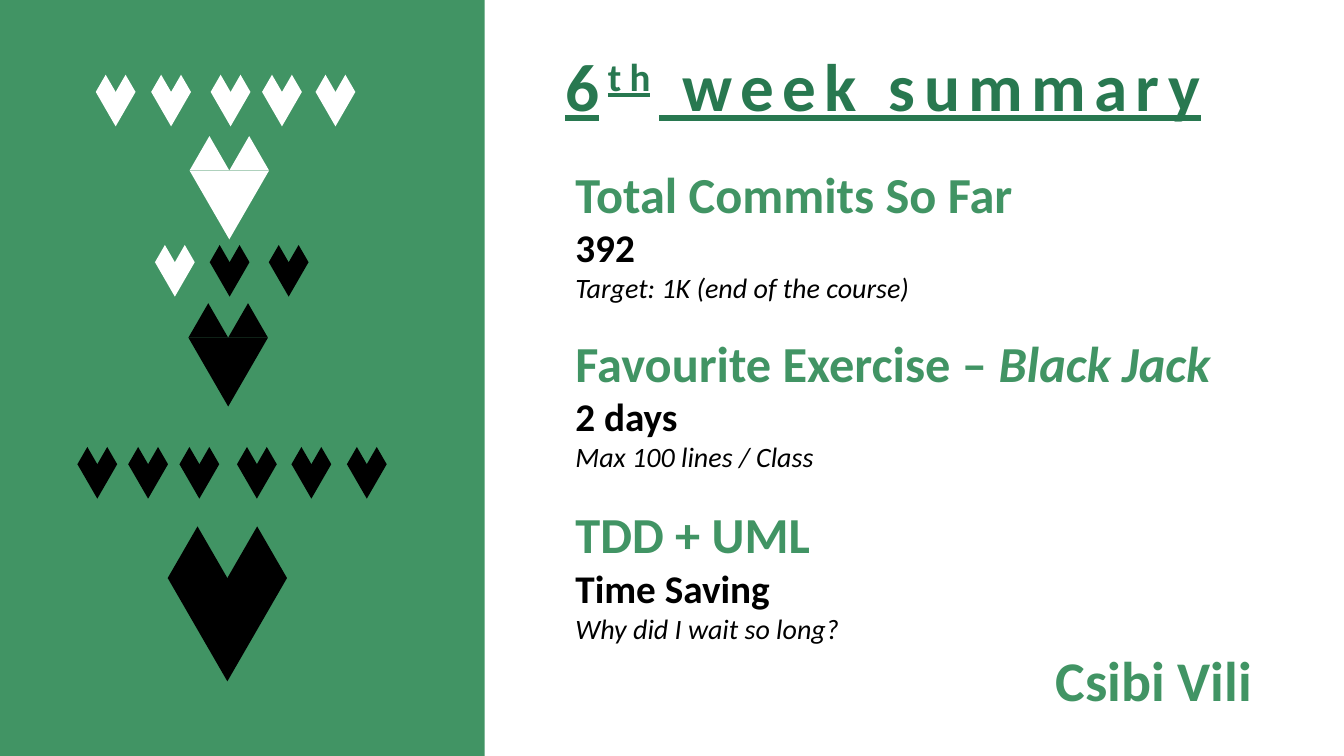
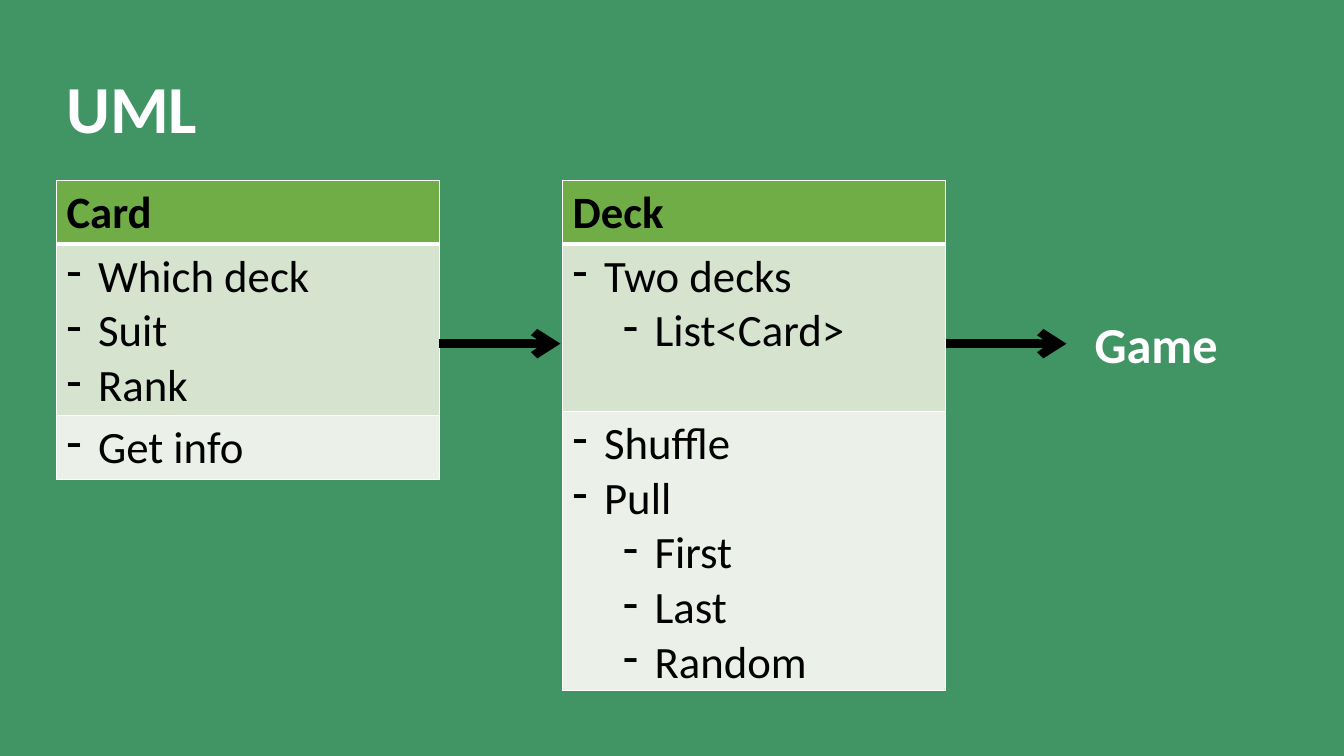
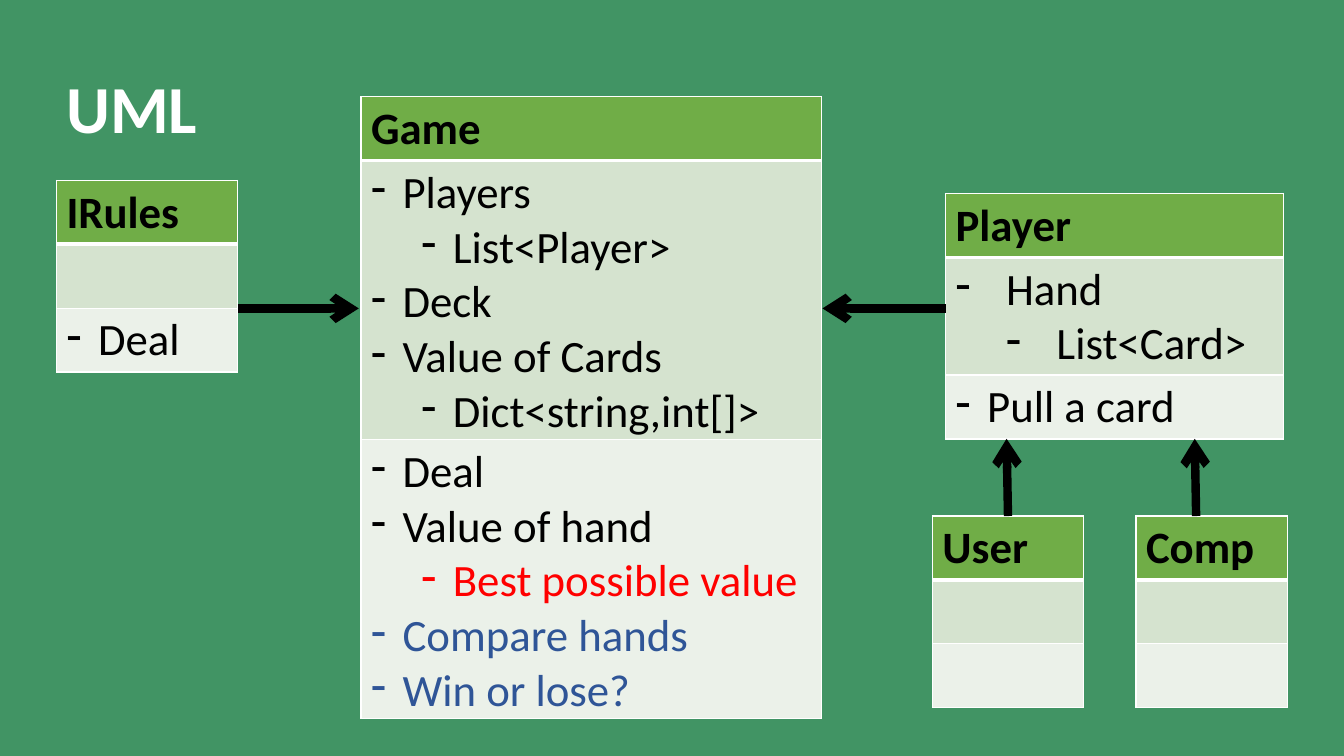
"""Builds a weekly summary slide and two UML class diagrams."""
from lxml.etree import SubElement
from pptx import Presentation
from pptx.dml.color import RGBColor
from pptx.enum.shapes import MSO_CONNECTOR as Conn, MSO_SHAPE as Shape
from pptx.enum.text import MSO_AUTO_SIZE as AutoSize, PP_ALIGN as Align
from pptx.oxml.ns import qn
from pptx.util import Pt

FONT = "Calibri"
GREEN = RGBColor(0x41, 0x94, 0x64)
DARK_GREEN = RGBColor(0x28, 0x78, 0x50)
HEADER = RGBColor(0x70, 0xAD, 0x47)
FIELDS = RGBColor(0xD5, 0xE3, 0xCF)
METHODS = RGBColor(0xEB, 0xF1, 0xE9)
WHITE = RGBColor(0xFF, 0xFF, 0xFF)
BLACK = RGBColor(0, 0, 0)
RED = RGBColor(0xFF, 0, 0)
BLUE = RGBColor(0x2F, 0x55, 0x97)

LINE_HEIGHT, CELL_MARGINS = 38.4, 7.2
LEVEL_INDENT = 36
SMALL, MEDIUM, LARGE = 28.4, 56.8, 85.2


def write(p, text, size=32, color=BLACK, bold=False, italic=False,
          underline=False, spacing=None, baseline=None):
    r = p.add_run()
    r.text = text
    font = r.font
    font.name, font.size, font.bold, font.italic = FONT, Pt(size), bold, italic
    font.underline = underline
    font.color.rgb = color
    props = r._r.get_or_add_rPr()
    if spacing:
        props.set("spc", str(spacing * 100))
    if baseline:
        props.set("baseline", str(baseline * 1000))


def text_box(s, left, top, width, height):
    tf = s.shapes.add_textbox(Pt(left), Pt(top), Pt(width), Pt(height)).text_frame
    tf.word_wrap = True
    tf.auto_size = AutoSize.SHAPE_TO_FIT_TEXT
    return tf


def filled_shape(shapes, kind, left, top, width, height, color):
    sp = shapes.add_shape(kind, Pt(left), Pt(top), Pt(width), Pt(height))
    sp.shadow.inherit = False
    sp.fill.solid()
    sp.fill.fore_color.rgb = color
    sp.line.fill.background()
    return sp


def heart(s, left, top, width, color):
    shapes = s.shapes.add_group_shape().shapes
    half, lobe = width / 2, width * 0.433
    tip = filled_shape(shapes, Shape.ISOSCELES_TRIANGLE, left, top + lobe,
                       width, 2 * lobe, color)
    tip.rotation = 180
    for x in (left, left + half):
        filled_shape(shapes, Shape.ISOSCELES_TRIANGLE, x, top, half, lobe, color)


def arrow(s, x1, y1, x2, y2):
    line = s.shapes.add_connector(Conn.STRAIGHT, Pt(x1), Pt(y1), Pt(x2), Pt(y2))
    line.line.color.rgb = BLACK
    line.line.width = Pt(6)
    SubElement(line.line._get_or_add_ln(), qn("a:tailEnd"), type="arrow")
    SubElement(line._element.spPr, qn("a:effectLst"))


def border(cell, top, bottom):
    props = cell._tc.get_or_add_tcPr()
    sides = (("L", 1), ("R", 1), ("T", top), ("B", bottom))
    for i, (side, width) in enumerate(sides):
        ln = SubElement(props, qn("a:ln" + side), w=str(Pt(width)))
        fill = SubElement(ln, qn("a:solidFill"))
        SubElement(fill, qn("a:srgbClr"), val=str(WHITE))
        props.insert(i, ln)


def dash(p, level, indent):
    p.level = level
    props = p._p.get_or_add_pPr()
    props.set("marL", str(Pt(level * LEVEL_INDENT + indent)))
    props.set("indent", str(-Pt(indent)))
    SubElement(props, qn("a:buFontTx"))
    SubElement(props, qn("a:buChar"), char="-")


def members(cell, items, indent):
    tf = cell.text_frame
    for i, (text, level, color) in enumerate(items):
        p = tf.add_paragraph() if i else tf.paragraphs[0]
        dash(p, level, indent)
        write(p, text, color=color)


def row_height(count):
    return CELL_MARGINS + LINE_HEIGHT * max(count, 1)


def uml_class(s, name, left, top, width, fields=(), methods=(),
              fields_height=None, fields_indent=22.5):
    heights = (row_height(1), fields_height or row_height(len(fields)),
               row_height(len(methods)))
    table = s.shapes.add_table(3, 1, Pt(left), Pt(top), Pt(width),
                               Pt(sum(heights))).table
    styles = ((HEADER, 1, 3), (FIELDS, 3, 1), (METHODS, 1, 1))
    for i, (color, above, below) in enumerate(styles):
        table.rows[i].height = Pt(heights[i])
        cell = table.cell(i, 0)
        cell.fill.solid()
        cell.fill.fore_color.rgb = color
        border(cell, above, below)
    write(table.cell(0, 0).text_frame.paragraphs[0], name, bold=True)
    members(table.cell(1, 0), fields, fields_indent)
    members(table.cell(2, 0), methods, 22.5)


def new_slide(prs, color):
    s = prs.slides.add_slide(prs.slide_layouts[6])
    s.background.fill.solid()
    s.background.fill.fore_color.rgb = color
    return s


def uml_slide(prs):
    s = new_slide(prs, GREEN)
    tf = text_box(s, 40.3, 43.9, 879, 65.4)
    write(tf.paragraphs[0], "UML", size=48, color=WHITE, bold=True)
    return s


def summary_slide(prs):
    s = new_slide(prs, WHITE)
    filled_shape(s.shapes, Shape.RECTANGLE, 0, 0, 346.2, 540, GREEN)

    p = text_box(s, 396.7, 28.1, 504.7, 65.4).paragraphs[0]
    for text, baseline in (("6", None), ("th", 30), (" week summary", None)):
        write(p, text, size=48, color=DARK_GREEN, bold=True, underline=True,
              spacing=6, baseline=baseline)

    rows = (
        (53.4, SMALL, WHITE, (68.4, 108, 150.5, 187.2, 225.4)),
        (97.2, MEDIUM, WHITE, (135.4,)),
        (175, SMALL, WHITE, (110.7,)),
        (175, SMALL, BLACK, (149.8, 192)),
        (216.6, MEDIUM, BLACK, (134.6,)),
        (319.3, SMALL, BLACK, (55.3, 91.6, 128.2, 169.3, 208.2, 247.8)),
        (376, LARGE, BLACK, (119.8,)),
    )
    for top, width, color, lefts in rows:
        for left in lefts:
            heart(s, left, top, width, color)

    topics = (
        (0, "Total Commits So Far", "", "392", "Target: 1K (end of the course)"),
        (19.5, "Favourite Exercise – ", "Black Jack", "2 days", "Max 100 lines / Class"),
        (22, "TDD + UML", "", "Time Saving", "Why did I wait so long?"),
    )
    tf = text_box(s, 403.9, 113, 497.5, 353.5)
    for i, (gap, heading, emphasis, fact, remark) in enumerate(topics):
        p = tf.add_paragraph() if i else tf.paragraphs[0]
        p.space_before = Pt(gap)
        write(p, heading, size=36, color=GREEN, bold=True)
        if emphasis:
            write(p, emphasis, size=36, color=GREEN, bold=True, italic=True)
        write(tf.add_paragraph(), fact, size=28, bold=True)
        write(tf.add_paragraph(), remark, size=20, italic=True)

    p = text_box(s, 714.2, 457.2, 187.2, 55.7).paragraphs[0]
    p.alignment = Align.RIGHT
    write(p, "Csibi Vili", size=40, color=GREEN, bold=True)


def deck_slide(prs):
    s = uml_slide(prs)
    uml_class(s, "Card", 40.3, 128.9, 273.6,
              [("Which deck", 0, BLACK), ("Suit", 0, BLACK), ("Rank", 0, BLACK)],
              [("Get info", 0, BLACK)])
    uml_class(s, "Deck", 401.8, 128.9, 273.6,
              [("Two decks", 0, BLACK), ("List<Card>", 1, BLACK)],
              [("Shuffle", 0, BLACK), ("Pull", 0, BLACK), ("First", 1, BLACK),
               ("Last", 1, BLACK), ("Random", 1, BLACK)],
              fields_height=119.5)
    for x in (313.9, 675.4):
        arrow(s, x, 245.5, x + 86.4, 245.5)
    tf = text_box(s, 774.7, 220.3, 128.2, 50.9)
    write(tf.paragraphs[0], "Game", size=36, color=WHITE, bold=True)


def game_slide(prs):
    s = uml_slide(prs)
    uml_class(s, "IRules", 40.3, 128.9, 129.6, methods=[("Deal", 0, BLACK)])
    uml_class(s, "Game", 257.8, 69.1, 329,
              [("Players", 0, BLACK), ("List<Player>", 1, BLACK), ("Deck", 0, BLACK),
               ("Value of Cards", 0, BLACK), ("Dict<string,int[]>", 1, BLACK)],
              [("Deal", 0, BLACK), ("Value of hand", 0, BLACK),
               ("Best possible value", 1, RED), ("Compare hands", 0, BLUE),
               ("Win or lose?", 0, BLUE)])
    uml_class(s, "Player", 675.4, 138.2, 241.2,
              [("Hand", 0, BLACK), ("List<Card>", 1, BLACK)],
              [("Pull a card", 0, BLACK)], fields_indent=36)
    uml_class(s, "User", 666, 368.6, 108)
    uml_class(s, "Comp", 811.4, 368.6, 108)
    arrow(s, 169.9, 220.3, 256.3, 220.3)
    arrow(s, 675.4, 220.3, 587.5, 220.3)
    for x in (720, 854.4):
        arrow(s, x, 368.6, x - 1, 313.4)


def main():
    prs = Presentation()
    prs.slide_width, prs.slide_height = Pt(960), Pt(540)
    summary_slide(prs)
    deck_slide(prs)
    game_slide(prs)
    prs.save("out.pptx")


if __name__ == "__main__":
    main()
